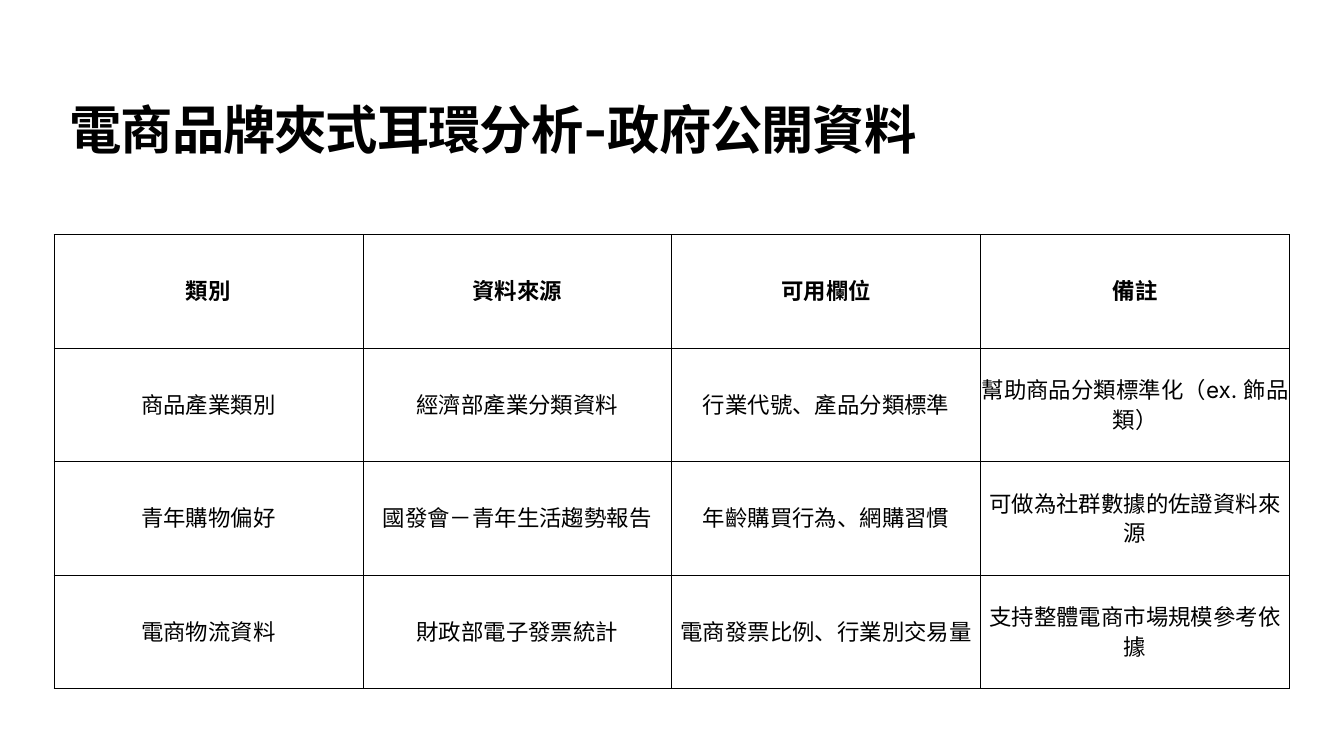
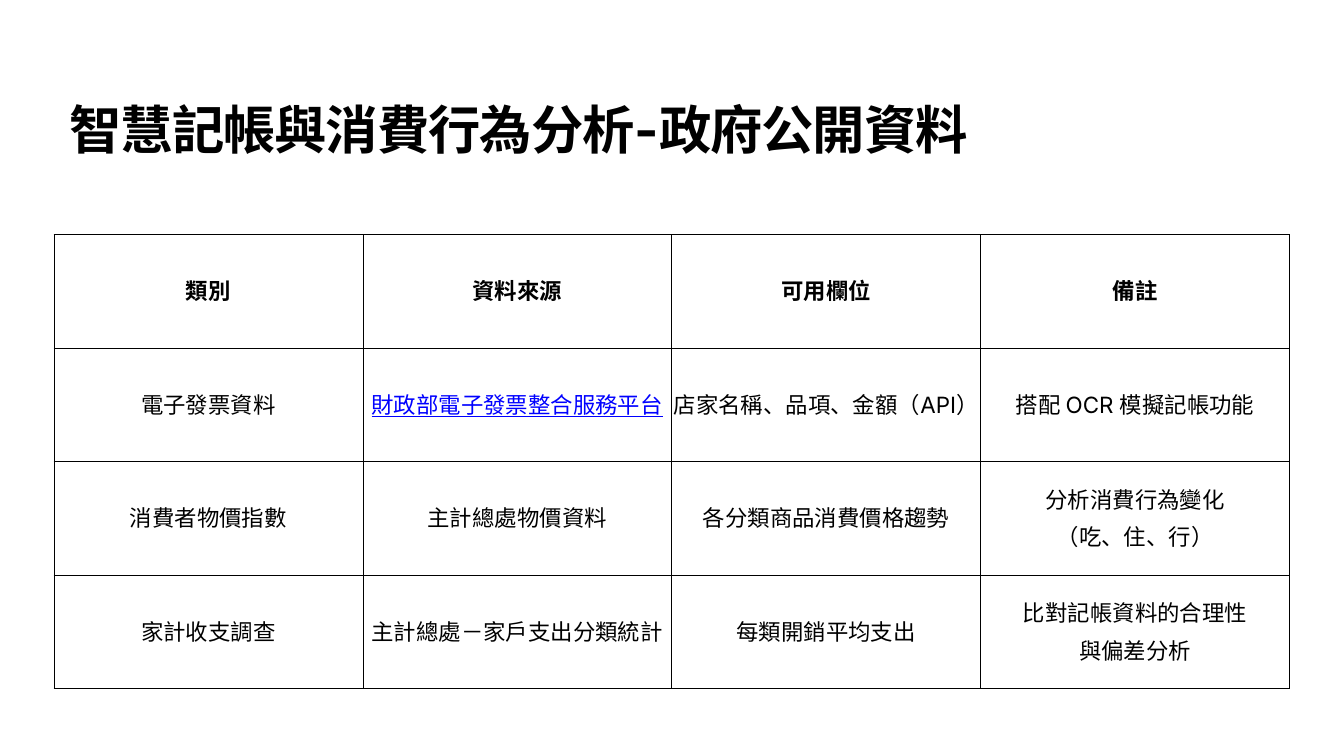
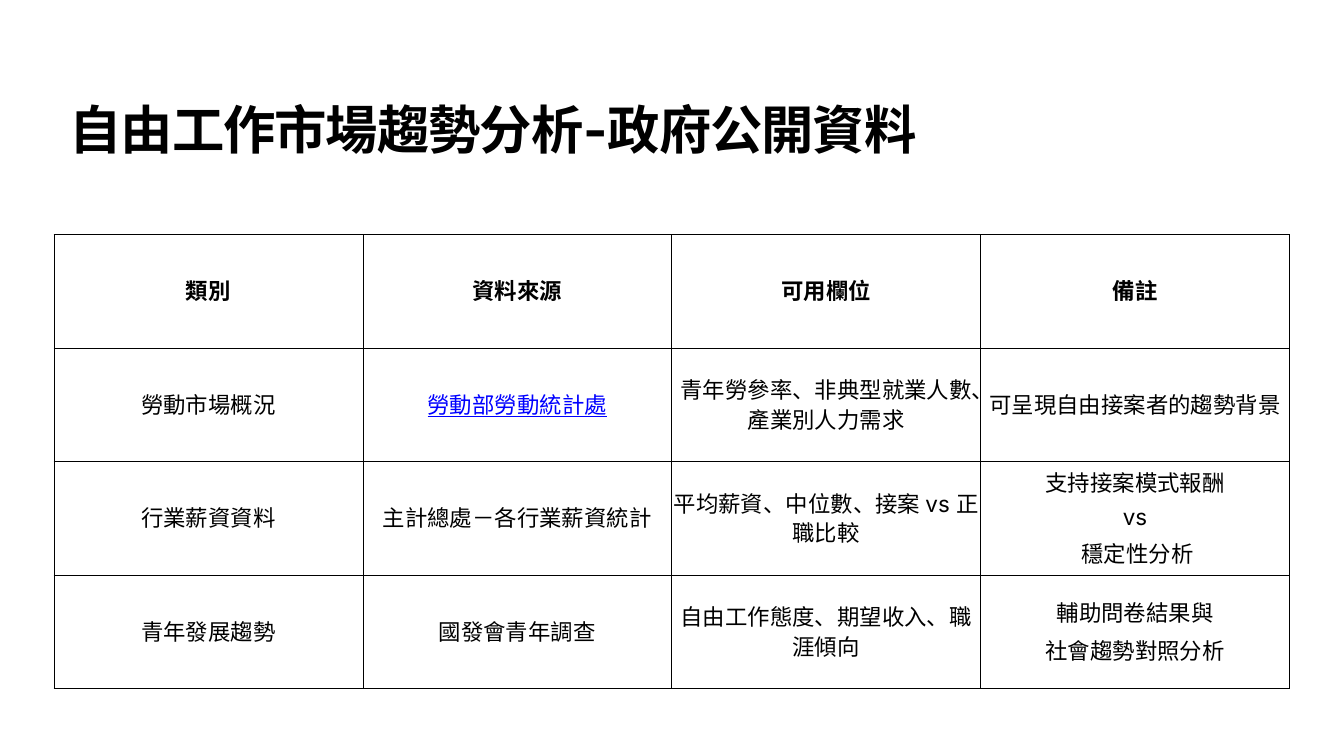
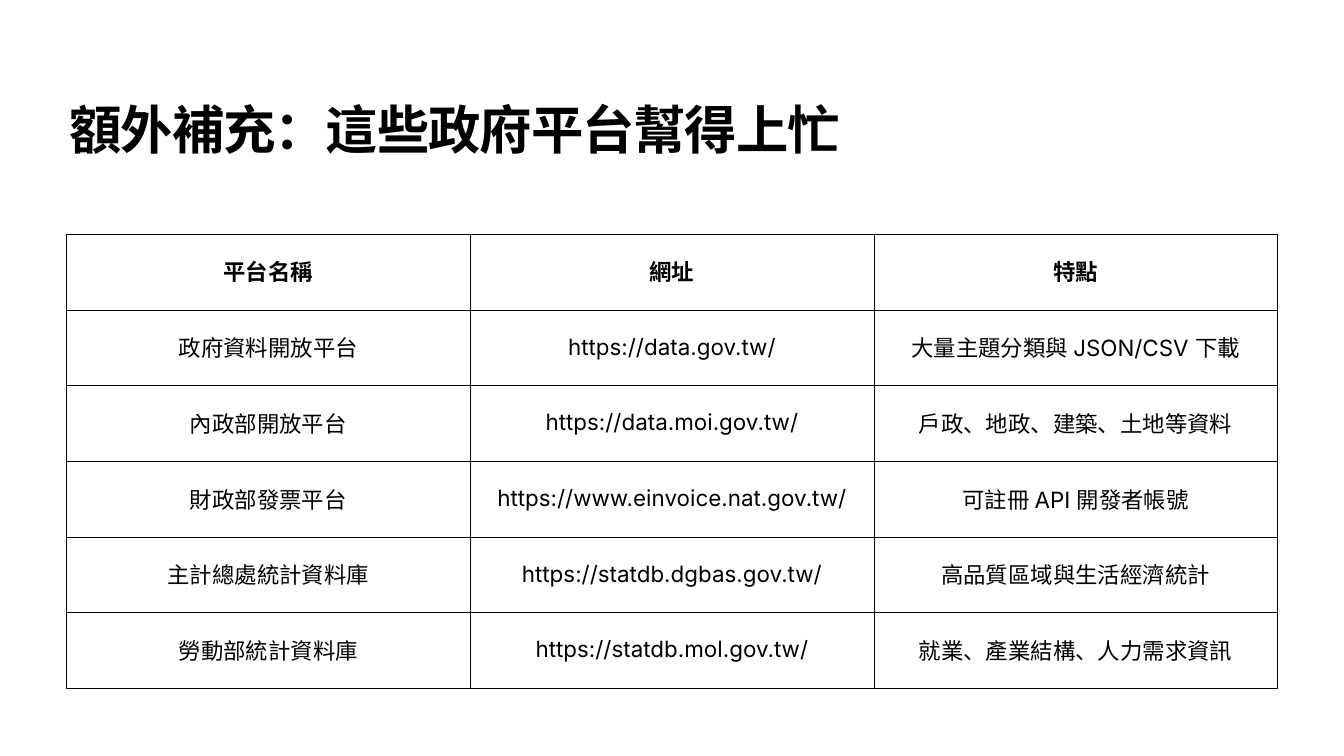
from lxml import etree
from pptx import Presentation
from pptx import util as u
from pptx.dml.color import RGBColor
from pptx.enum import text
from pptx.oxml.ns import qn

COLORS = {"ink": "000000", "link": "0000FF"}
FONT = "Inter"
TITLE_BOX = (1.32, 2.11, 24.03, 1.57)
SOURCE_BOX = (1.07, 4.65, 24.52, 9.01)
PLATFORM_BOX = (1.32, 4.65, 24.03, 9.01)
SOURCE_HEADER = ["類別", "資料來源", "可用欄位", "備註"]
LINKED = {"財政部電子發票整合服務平台", "勞動部勞動統計處"}

TABLE_SLIDES = [
    ("電商品牌夾式耳環分析-政府公開資料", SOURCE_BOX, [
        SOURCE_HEADER,
        ["商品產業類別", "經濟部產業分類資料", "行業代號、產品分類標準",
         "幫助商品分類標準化（ex. 飾品類）"],
        ["青年購物偏好", "國發會－青年生活趨勢報告", "年齡購買行為、網購習慣",
         "可做為社群數據的佐證資料來源"],
        ["電商物流資料", "財政部電子發票統計", "電商發票比例、行業別交易量",
         "支持整體電商市場規模參考依據"],
    ]),
    ("智慧記帳與消費行為分析-政府公開資料", SOURCE_BOX, [
        SOURCE_HEADER,
        ["電子發票資料", "財政部電子發票整合服務平台", "店家名稱、品項、金額（API）",
         "搭配 OCR 模擬記帳功能"],
        ["消費者物價指數", "主計總處物價資料", "各分類商品消費價格趨勢",
         "分析消費行為變化\n（吃、住、行）"],
        ["家計收支調查", "主計總處－家戶支出分類統計", "每類開銷平均支出",
         "比對記帳資料的合理性\n與偏差分析"],
    ]),
    ("自由工作市場趨勢分析-政府公開資料", SOURCE_BOX, [
        SOURCE_HEADER,
        ["勞動市場概況", "勞動部勞動統計處",
         "青年勞參率、非典型就業人數、產業別人力需求", "可呈現自由接案者的趨勢背景"],
        ["行業薪資資料", "主計總處－各行業薪資統計",
         "平均薪資、中位數、接案 vs 正職比較", "支持接案模式報酬\nvs\n 穩定性分析"],
        ["青年發展趨勢", "國發會青年調查", "自由工作態度、期望收入、職涯傾向",
         "輔助問卷結果與\n社會趨勢對照分析"],
    ]),
    ("額外補充：這些政府平台幫得上忙", PLATFORM_BOX, [
        ["平台名稱", "網址", "特點"],
        ["政府資料開放平台", "https://data.gov.tw/", "大量主題分類與 JSON/CSV 下載"],
        ["內政部開放平台", "https://data.moi.gov.tw/", "戶政、地政、建築、土地等資料"],
        ["財政部發票平台", "https://www.einvoice.nat.gov.tw/", "可註冊 API 開發者帳號"],
        ["主計總處統計資料庫", "https://statdb.dgbas.gov.tw/", "高品質區域與生活經濟統計"],
        ["勞動部統計資料庫", "https://statdb.mol.gov.tw/", "就業、產業結構、人力需求資訊"],
    ]),
]


def add_run(paragraph, words, size, bold, color="ink"):
    """Append one formatted run to the paragraph."""
    run = paragraph.add_run()
    run.text = words
    run.font.name = FONT
    run.font.size = u.Pt(size)
    run.font.bold = bold
    run.font.color.rgb = RGBColor.from_string(COLORS[color])
    return run


def set_margins(holder, inches):
    """Give a text frame or a cell the same margin on all sides."""
    for side in ("left", "top", "right", "bottom"):
        setattr(holder, f"margin_{side}", u.Inches(inches))


def add_title(slide, box, words):
    """Place and format the title placeholder."""
    title = slide.shapes.title
    title.left, title.top, title.width, title.height = map(u.Inches, box)
    frame = title.text_frame
    frame.word_wrap = True
    frame.auto_size = text.MSO_AUTO_SIZE.NONE
    frame.vertical_anchor = text.MSO_ANCHOR.TOP
    set_margins(frame, 0.06)
    paragraph = frame.paragraphs[0]
    paragraph.alignment = text.PP_ALIGN.LEFT
    paragraph.line_spacing = 0.8
    run = add_run(paragraph, words, 74.8, True)
    run.font._element.set("spc", "-150")


def add_borders(cell):
    """Draw a thin line on all four sides of the cell."""
    properties = cell._tc.get_or_add_tcPr()
    for side in ("a:lnL", "a:lnR", "a:lnT", "a:lnB"):
        line = etree.SubElement(properties, qn(side), w=str(u.Pt(1)))
        fill = etree.SubElement(line, qn("a:solidFill"))
        etree.SubElement(fill, qn("a:srgbClr"), val=COLORS["ink"])


def fill_cell(cell, words, bold):
    """Format a cell and write one paragraph for each line of its words."""
    add_borders(cell)
    cell.fill.background()
    cell.vertical_anchor = text.MSO_ANCHOR.MIDDLE
    set_margins(cell, 0.01)
    frame = cell.text_frame
    linked = words in LINKED
    for index, line in enumerate(words.split("\n")):
        paragraph = frame.add_paragraph() if index else frame.paragraphs[0]
        paragraph.alignment = text.PP_ALIGN.CENTER
        paragraph.line_spacing = 0.9
        paragraph.space_before = u.Pt(12)
        run = add_run(paragraph, line, 32, bold, "link" if linked else "ink")
        run.font.underline = linked


def add_grid(slide, box, rows):
    """Add a table whose equal rows and columns fill the box."""
    left, top, width, height = map(u.Inches, box)
    column_count = len(rows[0])
    table = slide.shapes.add_table(
        len(rows), column_count, left, top, width, height).table
    table.first_row = table.horz_banding = False
    for column in table.columns:
        column.width = width // column_count
    for row in table.rows:
        row.height = height // len(rows)
    for row_index, row in enumerate(rows):
        for column_index, words in enumerate(row):
            fill_cell(table.cell(row_index, column_index), words, row_index == 0)


def add_table_slide(presentation, title, box, rows):
    """Add a slide with a title above a table."""
    slide = presentation.slides.add_slide(presentation.slide_layouts[5])
    add_title(slide, TITLE_BOX, title)
    add_grid(slide, box, rows)


def main():
    """Build and save the presentation."""
    presentation = Presentation()
    presentation.slide_width = u.Inches(26.67)
    presentation.slide_height = u.Inches(15)
    for title, box, rows in TABLE_SLIDES:
        add_table_slide(presentation, title, box, rows)
    presentation.save("out.pptx")


if __name__ == "__main__":
    main()
